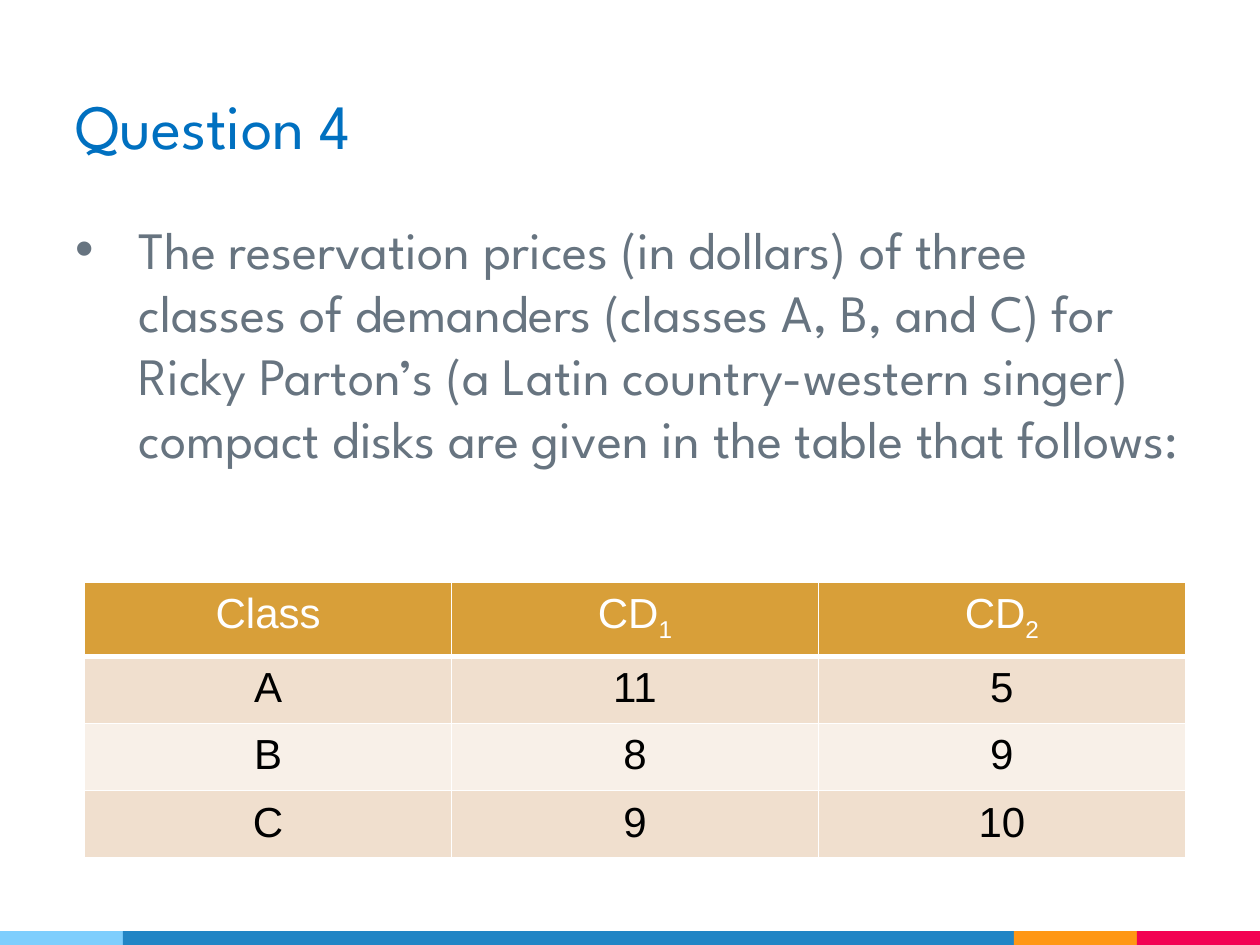
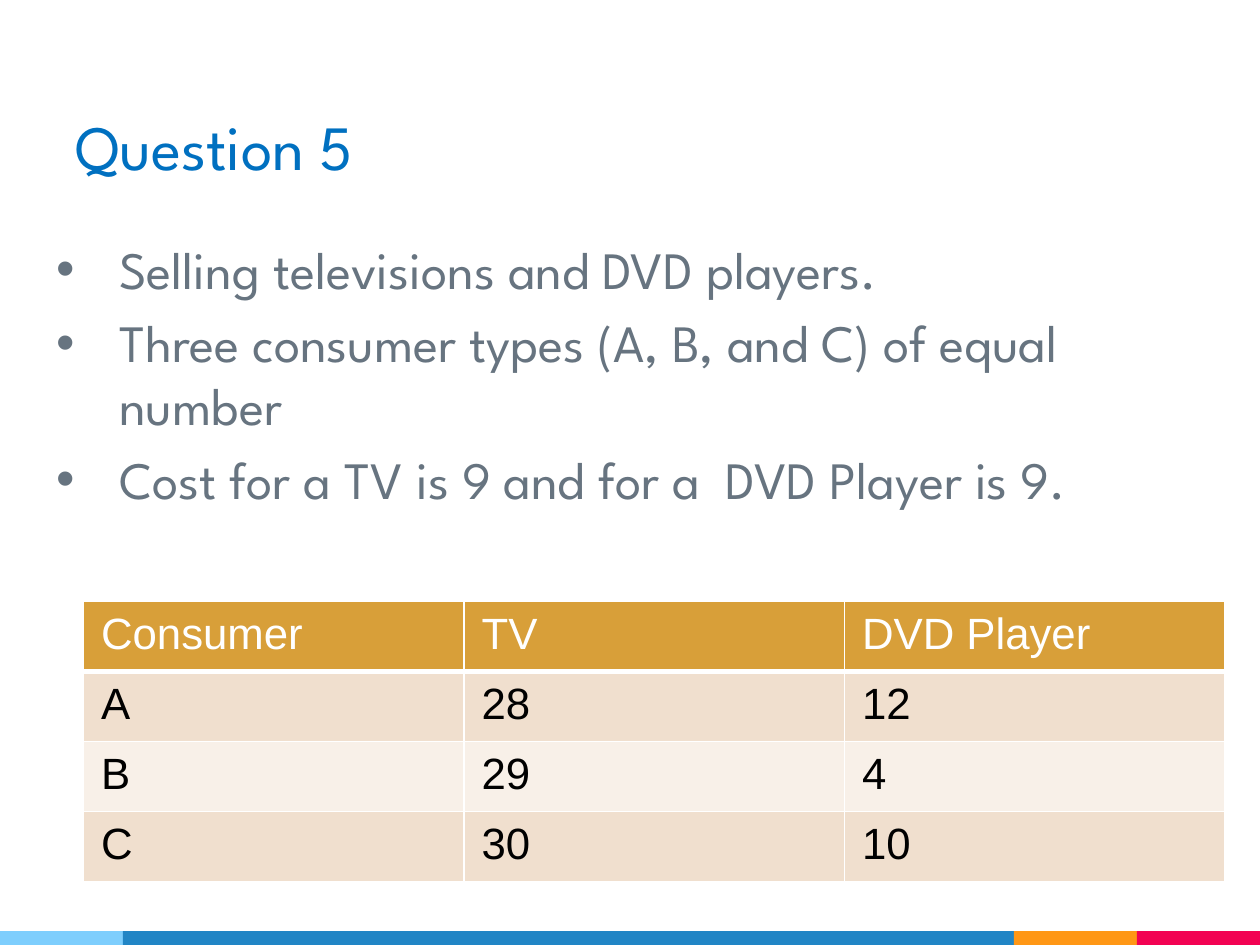
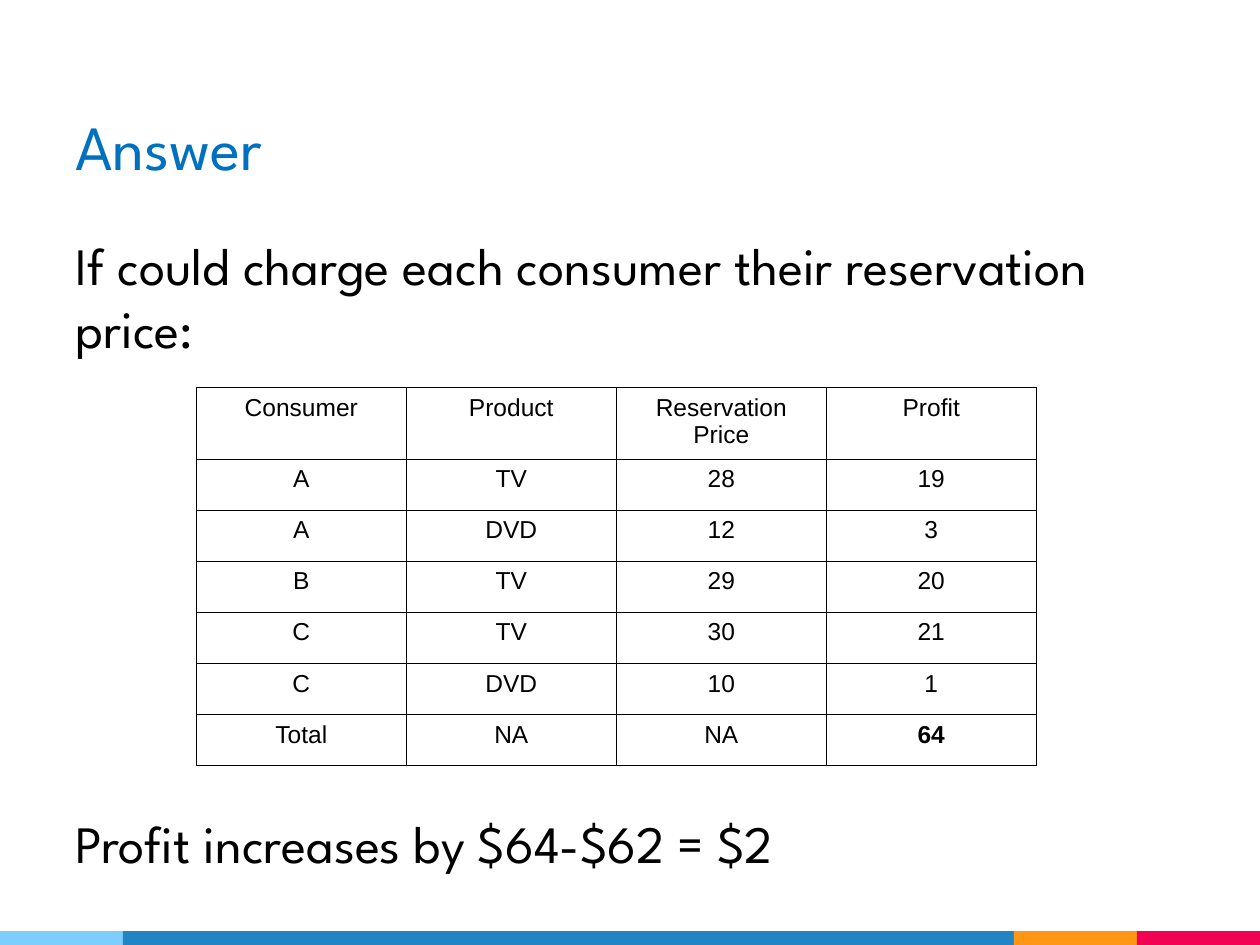
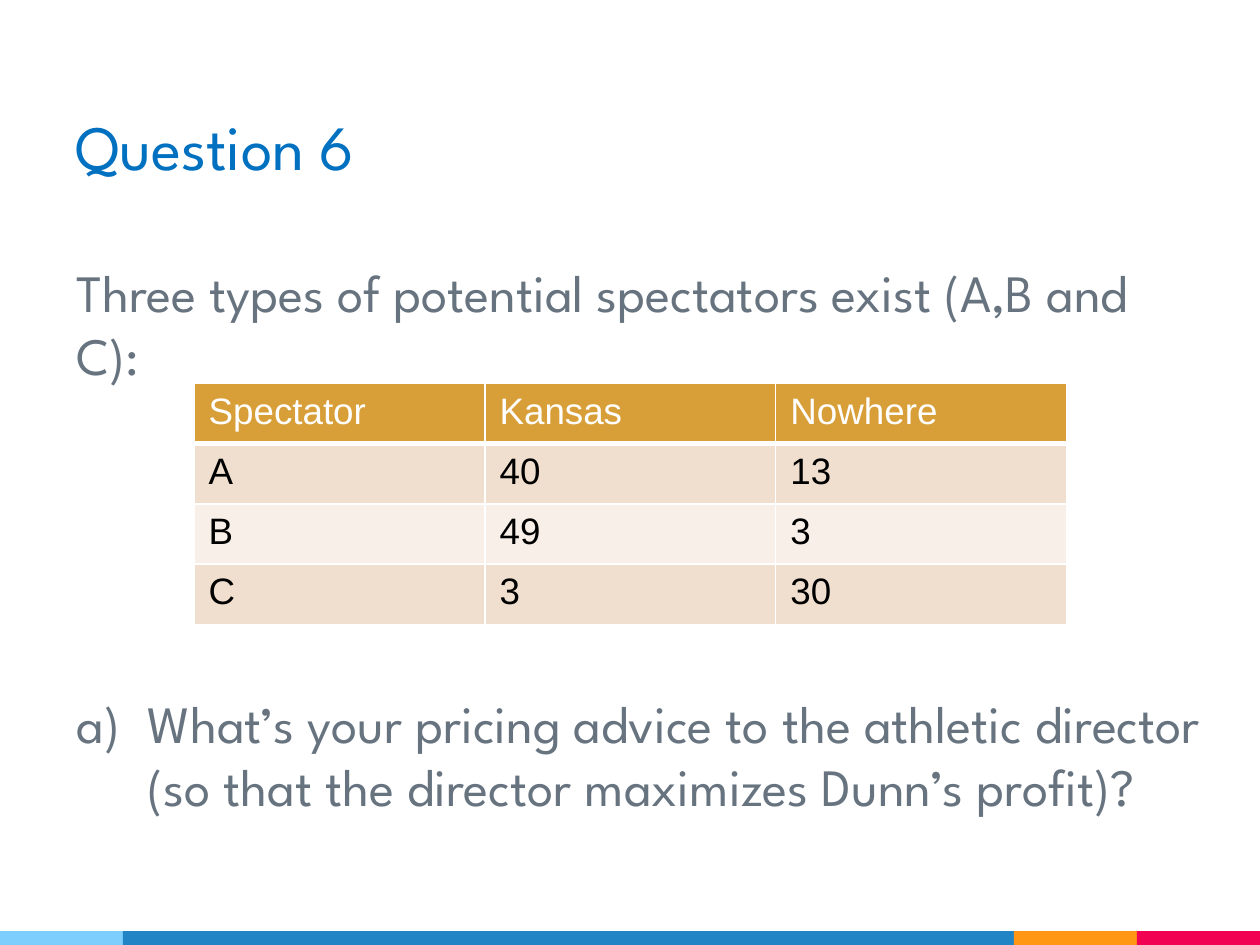
from dataclasses import dataclass

from lxml.etree import SubElement
from pptx import Presentation
from pptx.dml.color import RGBColor
from pptx.enum.shapes import MSO_SHAPE
from pptx.enum.text import MSO_ANCHOR, PP_ALIGN
from pptx.oxml.ns import qn
from pptx.util import Pt


@dataclass(frozen=True)
class Theme:
    """Colours, fonts and type sizes shared by all slides."""
    title: str = "0070C0"
    body: str = "677480"
    ink: str = "000000"
    white: str = "FFFFFF"
    header: str = "D89F39"
    stripes: tuple = ("F0DFCE", "F8F0E8")
    band: tuple = ("7ECEFD", "2185C5", "FF9715", "F20253")
    text_font: str = "League Spartan"
    table_font: str = "Arial"
    title_size: float = 36
    body_size: float = 30
    small_size: float = 14
    inset: float = 7.2
    gap: float = 6


THEME = Theme()
WIDTH, HEIGHT = 720, 540
BULLET = ("buChar", {"char": "•"})
LETTER = ("buAutoNum", {"type": "alphaLcParenR"})


def add_run(paragraph, words, font, size, color, bold=False):
    """Append one styled run and return it."""
    run = paragraph.add_run()
    run.text = words
    run.font.name, run.font.size, run.font.bold = font, Pt(size), bold
    run.font.color.rgb = RGBColor.from_string(color)
    return run


def add_frame(slide, left, top, width, height, inset_top=THEME.inset):
    """Add a wrapping text box and return its text frame."""
    frame = slide.shapes.add_textbox(Pt(left), Pt(top), Pt(width), Pt(height)).text_frame
    frame.word_wrap = True
    frame.margin_left = frame.margin_right = frame.margin_bottom = Pt(THEME.inset)
    frame.margin_top = Pt(inset_top)
    return frame


def add_band(slide):
    """Draw the four-colour band along the bottom edge."""
    end, height = 70.3, 7.9
    edges = (0, end, WIDTH - 2 * end, WIDTH - end, WIDTH)
    for color, left, right in zip(THEME.band, edges, edges[1:]):
        stripe = slide.shapes.add_shape(MSO_SHAPE.RECTANGLE, Pt(left), Pt(HEIGHT - height),
                                        Pt(right - left), Pt(height))
        stripe.shadow.inherit = False
        stripe.fill.solid()
        stripe.fill.fore_color.rgb = RGBColor.from_string(color)
        stripe.line.fill.background()


def add_slide(deck, title, title_height=90):
    """Add a blank slide with the band and a bottom-anchored title."""
    slide = deck.slides.add_slide(deck.slide_layouts[6])
    add_band(slide)
    frame = add_frame(slide, 36, 21.6, 648, title_height)
    frame.vertical_anchor = MSO_ANCHOR.BOTTOM
    add_run(frame.paragraphs[0], title, THEME.text_font, THEME.title_size, THEME.title)
    return slide


def set_bullet(paragraph, marker, indent):
    """Give a paragraph a hanging marker in the body colour."""
    properties = paragraph._p.get_or_add_pPr()
    properties.set("marL", str(Pt(indent)))
    properties.set("indent", str(-Pt(indent)))
    color = SubElement(properties, qn("a:buClr"))
    SubElement(color, qn("a:srgbClr"), val=THEME.body)
    tag, attributes = marker
    face = THEME.table_font if tag == "buChar" else THEME.text_font
    SubElement(properties, qn("a:buFont"), typeface=face)
    SubElement(properties, qn("a:" + tag), attributes)


def add_paragraph(frame, words, color=THEME.body, marker=None, indent=36, before=THEME.gap):
    """Add one body paragraph, using the empty first one if it is free."""
    first = frame.paragraphs[0]
    paragraph = frame.add_paragraph() if first.runs else first
    paragraph.space_before = Pt(before)
    if marker:
        set_bullet(paragraph, marker, indent)
    add_run(paragraph, words, THEME.text_font, THEME.body_size, color)


def set_borders(cell, color, width, bottom):
    """Draw all four borders of a cell."""
    properties = cell._tc.get_or_add_tcPr()
    for side, weight in zip("LRTB", (width, width, width, bottom)):
        line = SubElement(properties, qn("a:ln" + side), w=str(Pt(weight)))
        fill = SubElement(line, qn("a:solidFill"))
        SubElement(fill, qn("a:srgbClr"), val=color)


def add_grid(slide, rows, left, top, width, row_height):
    """Add a plain table with equal columns and equal rows."""
    grid = slide.shapes.add_table(len(rows), len(rows[0]), Pt(left), Pt(top),
                                  Pt(width), Pt(row_height * len(rows))).table
    grid.first_row = grid.horz_banding = False
    for column in grid.columns:
        column.width = Pt(width / len(rows[0]))
    for row in grid.rows:
        row.height = Pt(row_height)
    return grid


def fill_cell(cell, words, size, color, align, margins, bold=False):
    """Write a cell; whatever follows an underscore is a subscript."""
    cell.margin_left = cell.margin_right = Pt(margins[0])
    cell.margin_top = cell.margin_bottom = Pt(margins[1])
    paragraph = cell.text_frame.paragraphs[0]
    paragraph.alignment = align
    main, _, subscript = words.partition("_")
    add_run(paragraph, main, THEME.table_font, size, color, bold)
    if subscript:
        run = add_run(paragraph, subscript, THEME.table_font, size, color, bold)
        run._r.get_or_add_rPr().set("baseline", "-25000")


def add_striped_table(slide, rows, left, top, width, row_height, size, align=PP_ALIGN.LEFT):
    """Add a table with a golden header; margins grow with the type size."""
    grid = add_grid(slide, rows, left, top, width, row_height)
    for r, row in enumerate(rows):
        background = THEME.stripes[(r - 1) % 2] if r else THEME.header
        for c, words in enumerate(row):
            cell = grid.cell(r, c)
            fill_cell(cell, words, size, THEME.ink if r else THEME.white, align,
                      (0.4 * size, 0.2 * size))
            set_borders(cell, THEME.white, 1, 1 if r else 3)
            cell.fill.solid()
            cell.fill.fore_color.rgb = RGBColor.from_string(background)


def add_ruled_table(slide, rows, left, top, width, row_height):
    """Add an unfilled table with thin black rules and a bold grand total."""
    grid = add_grid(slide, rows, left, top, width, row_height)
    for r, row in enumerate(rows):
        for c, words in enumerate(row):
            cell = grid.cell(r, c)
            is_total = r == len(rows) - 1 and c == len(row) - 1
            fill_cell(cell, words, THEME.small_size, THEME.ink, PP_ALIGN.CENTER,
                      (7.2, 3.6), is_total)
            set_borders(cell, THEME.ink, 0.75, 0.75)
            cell.fill.background()


def build_disk_question(deck):
    """Question 4: reservation prices for compact disks."""
    slide = add_slide(deck, "Question 4", 78.5)
    add_paragraph(add_frame(slide, 36, 116.6, 648, 419.8),
                  "The reservation prices (in dollars) of three classes of demanders "
                  "(classes A, B, and C) for Ricky Parton’s (a Latin country-western singer) "
                  "compact disks are given in the table that follows:", marker=BULLET)
    prices = [("Class", "CD_1", "CD_2"), ("A", "11", "5"), ("B", "8", "9"), ("C", "9", "10")]
    add_striped_table(slide, prices, 48.4, 332.6, 629, 38.3, 24, PP_ALIGN.CENTER)


def build_player_question(deck):
    """Question 5: televisions and DVD players."""
    slide = add_slide(deck, "Question 5")
    frame = add_frame(slide, 25.2, 128.2, 674.6, 209.5)
    for words in ("Selling televisions and DVD players.",
                  "Three consumer types (A, B, and C) of equal number",
                  "Cost for a TV is 9 and for a  DVD Player is 9."):
        add_paragraph(frame, words, marker=BULLET)
    prices = [("Consumer", "TV", "DVD Player"), ("A", "28", "12"), ("B", "29", "4"),
              ("C", "30", "10")]
    add_striped_table(slide, prices, 47.8, 343.7, 652.4, 39.6, 25)


def build_answer(deck):
    """Answer: profit when each consumer pays the reservation price."""
    slide = add_slide(deck, "Answer")
    frame = add_frame(slide, 36, 126, 648, 401)
    add_paragraph(frame, "If could charge each consumer their reservation price:", THEME.ink)
    add_paragraph(frame, "Profit increases by $64-$62 = $2", THEME.ink, before=258)
    profits = [("Consumer", "Product", "Reservation Price", "Profit"),
               ("A", "TV", "28", "19"), ("A", "DVD", "12", "3"), ("B", "TV", "29", "20"),
               ("C", "TV", "30", "21"), ("C", "DVD", "10", "1"), ("Total", "NA", "NA", "64")]
    add_ruled_table(slide, profits, 112.2, 221.5, 480, 29.2)


def build_spectator_question(deck):
    """Question 6: pricing advice for two games."""
    slide = add_slide(deck, "Question 6")
    frame = add_frame(slide, 36.7, 99.4, 658.8, 440.6, inset_top=49.2)
    add_paragraph(frame, "Three types of potential spectators exist (A,B and C):")
    add_paragraph(frame, "What’s your pricing advice to the athletic director "
                  "(so that the director maximizes Dunn’s profit)?",
                  marker=LETTER, indent=40.5, before=174)
    prices = [("Spectator", "Kansas", "Nowhere"), ("A", "40", "13"), ("B", "49", "3"),
              ("C", "3", "30")]
    add_striped_table(slide, prices, 110.9, 219.2, 498.6, 34.4, 21)


def main():
    """Build and save the four slides."""
    deck = Presentation()
    deck.slide_width, deck.slide_height = Pt(WIDTH), Pt(HEIGHT)
    build_disk_question(deck)
    build_player_question(deck)
    build_answer(deck)
    build_spectator_question(deck)
    deck.save("out.pptx")


main()
